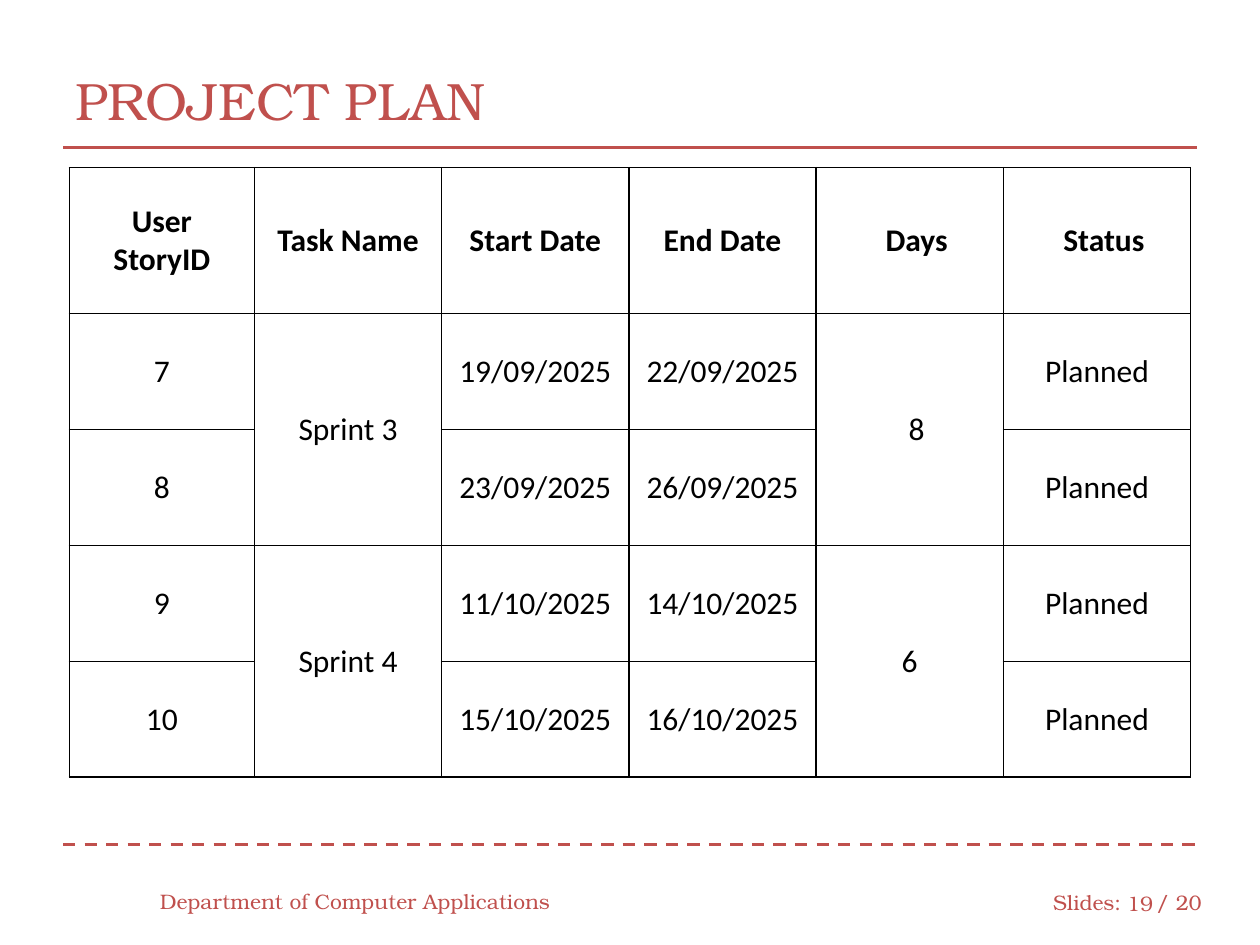
from lxml.etree import SubElement
from pptx import Presentation
from pptx.dml.color import RGBColor
from pptx.enum.dml import MSO_LINE
from pptx.enum.shapes import MSO_CONNECTOR
from pptx.enum.text import MSO_ANCHOR, PP_ALIGN
from pptx.oxml import parse_xml
from pptx.oxml.ns import nsdecls, qn
from pptx.util import Inches, Pt

RED = RGBColor(0xC0, 0x50, 0x4D)
BLACK = RGBColor(0, 0, 0)
WHITE = RGBColor(0xFF, 0xFF, 0xFF)

HEADINGS = ["User\nStoryID", "Task Name", "Start Date", "End Date", "Days", "Status"]
STORIES = [
    ["7", "Sprint 3", "19/09/2025", "22/09/2025", "8", "Planned"],
    ["8", "", "23/09/2025", "26/09/2025", "", "Planned"],
    ["9", "Sprint 4", "11/10/2025", "14/10/2025", "6", "Planned"],
    ["10", "", "15/10/2025", "16/10/2025", "", "Planned"],
]
TASK, DAYS, STATUS = 1, 4, 5
SHIFTED_CELLS = {(0, DAYS), (0, STATUS), (1, DAYS)}
TABLE_WIDTH, STORY_WIDTH = 8.9, 1.47
HEADING_HEIGHT, STORY_HEIGHT = 1.16, 0.92


def style_paragraph(paragraph, size, name, color, alignment, bold=False):
    paragraph.alignment = alignment
    font = paragraph.font
    font.size, font.name, font.bold = Pt(size), name, bold
    font.color.rgb = color


def add_label(slide, text, left, top, width, height=0.4, size=12, alignment=PP_ALIGN.LEFT):
    label = slide.shapes.add_textbox(Inches(left), Inches(top), Inches(width), Inches(height))
    frame = label.text_frame
    frame.word_wrap = True
    frame.vertical_anchor = MSO_ANCHOR.MIDDLE
    frame.text = text
    style_paragraph(frame.paragraphs[0], size, "TeX Gyre Bonum", RED, alignment)


def add_rule(slide, top, dash=None):
    rule = slide.shapes.add_connector(
        MSO_CONNECTOR.STRAIGHT, Inches(0.5), Inches(top), Inches(9.5), Inches(top))
    rule.line.color.rgb = RED
    rule.line.width = Pt(1.75)
    if dash:
        rule.line.dash_style = dash
    SubElement(rule._element.spPr, qn("a:effectLst"))


def add_borders(cell):
    properties = cell._tc.get_or_add_tcPr()
    for position, side in enumerate(("lnL", "lnR", "lnT", "lnB")):
        properties.insert(position, parse_xml(
            f'<a:{side} {nsdecls("a")} w="{Pt(1)}"><a:solidFill>'
            f'<a:srgbClr val="{BLACK}"/></a:solidFill></a:{side}>'))


def fill_cell(cell, text, bold, shifted):
    cell.text = text
    cell.vertical_anchor = MSO_ANCHOR.MIDDLE
    cell.margin_right = cell.margin_top = cell.margin_bottom = Inches(0.1)
    cell.margin_left = Inches(0.21 if shifted else 0.1)
    cell.fill.solid()
    cell.fill.fore_color.rgb = WHITE
    for paragraph in cell.text_frame.paragraphs:
        style_paragraph(paragraph, 18, "Calibri", BLACK, PP_ALIGN.CENTER, bold)
    add_borders(cell)


def add_plan(slide):
    rows = [HEADINGS] + STORIES
    height = HEADING_HEIGHT + STORY_HEIGHT * len(STORIES)
    plan = slide.shapes.add_table(
        len(rows), len(HEADINGS), Inches(0.55), Inches(1.33),
        Inches(TABLE_WIDTH), Inches(height)).table
    other_width = (TABLE_WIDTH - STORY_WIDTH) / (len(HEADINGS) - 1)
    for index, column in enumerate(plan.columns):
        column.width = Inches(other_width if index else STORY_WIDTH)
    for index, row in enumerate(plan.rows):
        row.height = Inches(STORY_HEIGHT if index else HEADING_HEIGHT)
    for row, texts in enumerate(rows):
        for column, text in enumerate(texts):
            fill_cell(plan.cell(row, column), text, row == 0, (row, column) in SHIFTED_CELLS)
    for first_row in (1, 3):
        for column in (TASK, DAYS):
            plan.cell(first_row, column).merge(plan.cell(first_row + 1, column))


def main():
    deck = Presentation()
    deck.slide_width, deck.slide_height = Inches(10), Inches(7.5)
    slide = deck.slides.add_slide(deck.slide_layouts[6])
    add_label(slide, "Slides:", 8.26, 6.96, 0.75)
    add_label(slide, "/ 20", 9.08, 6.96, 0.58)
    add_rule(slide, 6.7, MSO_LINE.DASH)
    add_rule(slide, 1.17)
    add_label(slide, "PROJECT PLAN", 0.5, 0.33, 9, 0.92, 30)
    add_label(slide, "Department of Computer Applications", 1.17, 6.95, 3.33)
    add_label(slide, "19", 8.83, 6.97, 0.42, alignment=PP_ALIGN.RIGHT)
    add_plan(slide)
    deck.save("out.pptx")


if __name__ == "__main__":
    main()
